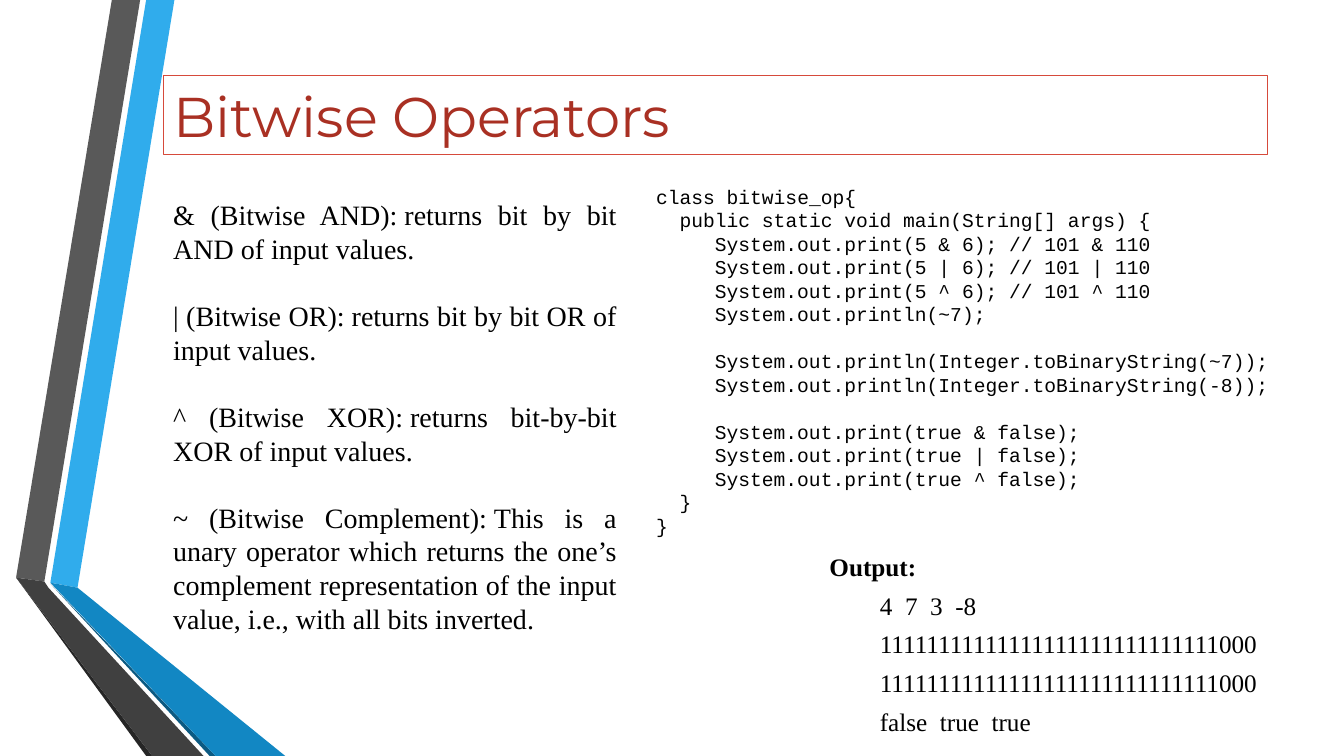
from dataclasses import dataclass

from pptx import Presentation
from pptx.dml.color import RGBColor
from pptx.enum.shapes import MSO_SHAPE as Kind
from pptx.enum.text import MSO_ANCHOR as Anchor, PP_ALIGN as Align
from pptx.shapes.autoshape import Shape
from pptx.slide import Slide
from pptx.util import Pt

BLACK = RGBColor(0x00, 0x00, 0x00)
WHITE = RGBColor(0xFF, 0xFF, 0xFF)
RED = RGBColor(0xA9, 0x30, 0x23)
CORAL = RGBColor(0xD6, 0x4A, 0x3B)
SKY = RGBColor(0x30, 0xAC, 0xEC)
BLUE = RGBColor(0x12, 0x87, 0xC3)
NAVY = RGBColor(0x0C, 0x5A, 0x82)
GREY = RGBColor(0x59, 0x59, 0x59)
SLATE = RGBColor(0x40, 0x40, 0x40)
COAL = RGBColor(0x26, 0x26, 0x26)

SERIF = "Times New Roman"
MONO = "Courier New"
LEAD = 1.2
CHAR = 8.4


@dataclass(frozen=True)
class Band:
    color: RGBColor
    points: tuple[tuple[float, float], ...]


@dataclass(frozen=True)
class Line:
    text: str
    indent: float = 0
    before: float = 0
    bold: bool = False


BANDS = (
    Band(SKY, ((36, 416.2), (55.4, 419.8), (124.6, 0), (104.4, 0))),
    Band(GREY, ((100.1, 0), (79.9, 0), (11.5, 412.6), (31.7, 415.4))),
    Band(COAL, ((11.5, 412.6), (104.4, 540), (108.7, 540))),
    Band(NAVY, ((36, 416.9), (149.8, 540), (154.1, 540))),
    Band(BLUE, ((36, 416.2), (154.1, 540), (203.8, 540), (55.4, 419.8))),
    Band(SLATE, ((145.4, 540), (34.6, 419.8), (31.7, 415.4), (11.5, 412.6), (108.7, 540))),
)

NOTES = (
    Line("& (Bitwise AND):\u00a0returns bit by bit AND of input values."),
    Line("| (Bitwise OR):\u00a0returns bit by bit OR of input values.", before=24),
    Line("^ (Bitwise XOR):\u00a0returns bit-by-bit XOR of input values.", before=24),
    Line(
        "~ (Bitwise Complement):\u00a0This is a unary operator which returns the one’s "
        "complement representation of the input value, i.e., with all bits inverted.",
        before=24,
    ),
)

OUTER, INNER, GAP = 2 * CHAR, 5 * CHAR, 14 * LEAD
CODE = (
    Line("class bitwise_op{"),
    Line("public static void main(String[] args) {", OUTER),
    Line("System.out.print(5 & 6); // 101 & 110", INNER),
    Line("System.out.print(5 | 6); // 101 | 110", INNER),
    Line("System.out.print(5 ^ 6); // 101 ^ 110", INNER),
    Line("System.out.println(~7);", INNER),
    Line("System.out.println(Integer.toBinaryString(~7));", INNER, GAP),
    Line("System.out.println(Integer.toBinaryString(-8));", INNER),
    Line("System.out.print(true & false);", INNER, GAP),
    Line("System.out.print(true | false);", INNER),
    Line("System.out.print(true ^ false);", INNER),
    Line("}", OUTER),
    Line("}"),
)

BITS = "1" * 29 + "000"
OUTPUT = (
    Line("Output:", bold=True),
    *(Line(text, 36) for text in ("4  7  3  -8", BITS, BITS, "false  true  true")),
)


def add_band(slide: Slide, band: Band) -> None:
    first, *rest = [(Pt(x), Pt(y)) for x, y in band.points]
    form = slide.shapes.build_freeform(*first)
    form.add_line_segments(rest, close=True)
    shape = form.convert_to_shape()
    shape.shadow.inherit = False
    shape.fill.solid()
    shape.fill.fore_color.rgb = band.color
    shape.line.fill.background()


def add_box(slide: Slide, left: float, top: float, width: float, height: float) -> Shape:
    box = slide.shapes.add_shape(Kind.RECTANGLE, Pt(left), Pt(top), Pt(width), Pt(height))
    box.shadow.inherit = False
    box.fill.background()
    box.line.fill.background()
    return box


def put_text(
    box: Shape,
    lines: tuple[Line, ...],
    *,
    font: str,
    size: float,
    color: RGBColor = BLACK,
    align: Align = Align.LEFT,
    anchor: Anchor = Anchor.TOP,
    after: float = 0,
) -> None:
    frame = box.text_frame
    frame.word_wrap = True
    frame.vertical_anchor = anchor
    for spot, line in enumerate(lines):
        para = frame.add_paragraph() if spot else frame.paragraphs[0]
        para.alignment = align
        para.line_spacing = Pt(size * LEAD)
        para.space_before = Pt(line.before)
        para.space_after = Pt(after)
        if line.indent:
            para._p.get_or_add_pPr().set("marL", str(Pt(line.indent)))
        run = para.add_run()
        run.text = line.text
        run.font.name = font
        run.font.size = Pt(size)
        run.font.bold = line.bold
        run.font.color.rgb = color


def main() -> None:
    deck = Presentation()
    deck.slide_width, deck.slide_height = Pt(960), Pt(540)
    slide = deck.slides.add_slide(deck.slide_layouts[6])

    for band in BANDS:
        add_band(slide, band)

    title = add_box(slide, 116.6, 54, 789.1, 56.2)
    title.line.color.rgb = CORAL
    title.line.width = Pt(0.75)
    put_text(title, (Line("Bitwise Operators"),), font="Montserrat", size=40,
             color=RED, anchor=Anchor.MIDDLE)

    notes = add_box(slide, 116.6, 119.5, 331.2, 355.7)
    put_text(notes, NOTES, font=SERIF, size=20, align=Align.JUSTIFY, anchor=Anchor.MIDDLE)

    code = add_box(slide, 461.5, 128.2, 455, 262.1)
    code.fill.solid()
    code.fill.fore_color.rgb = WHITE
    put_text(code, CODE, font=MONO, size=14)

    output = add_box(slide, 585.4, 390.2, 331.2, 140.4)
    put_text(output, OUTPUT, font=SERIF, size=18, align=Align.JUSTIFY, after=6)

    deck.save("out.pptx")


if __name__ == "__main__":
    main()
